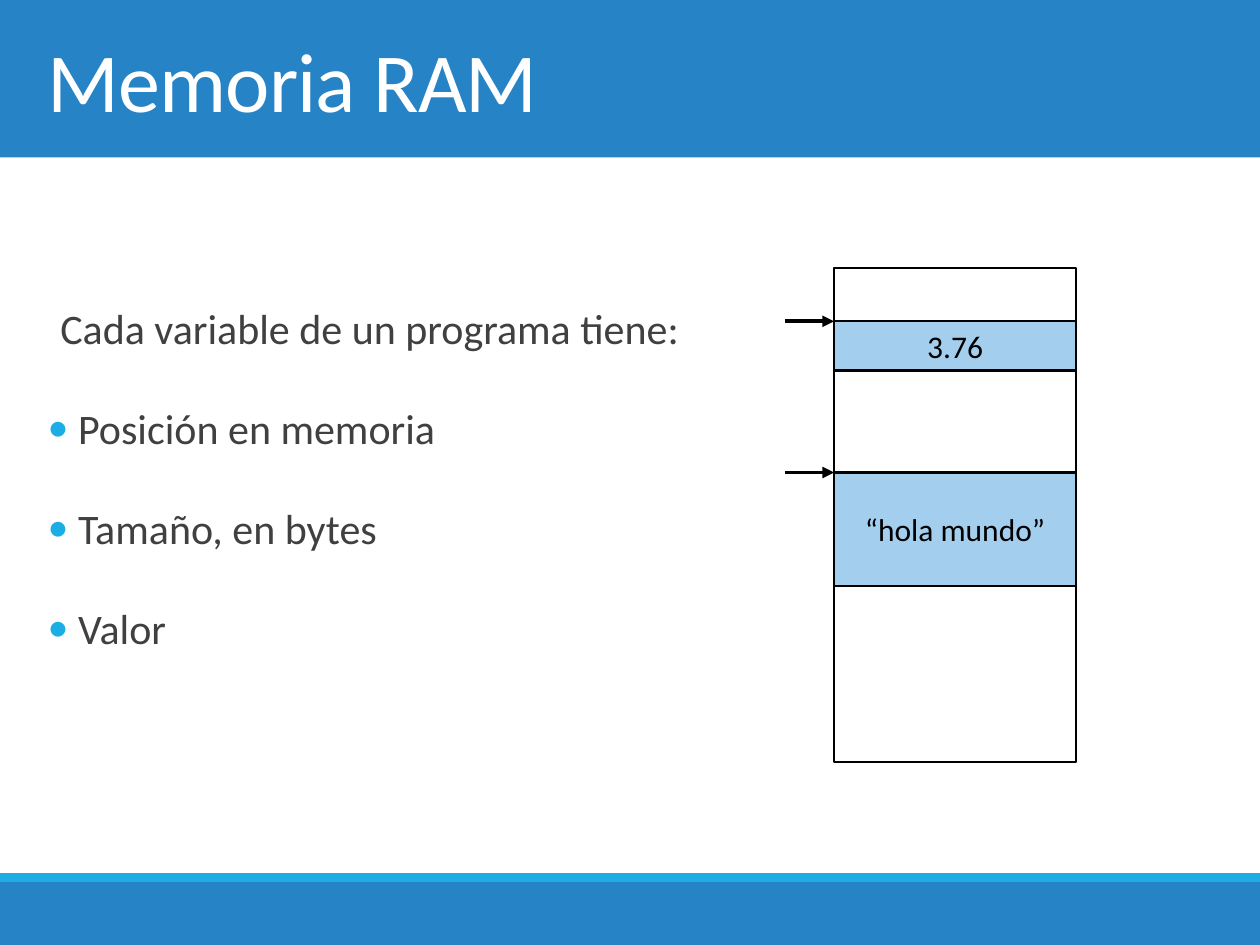
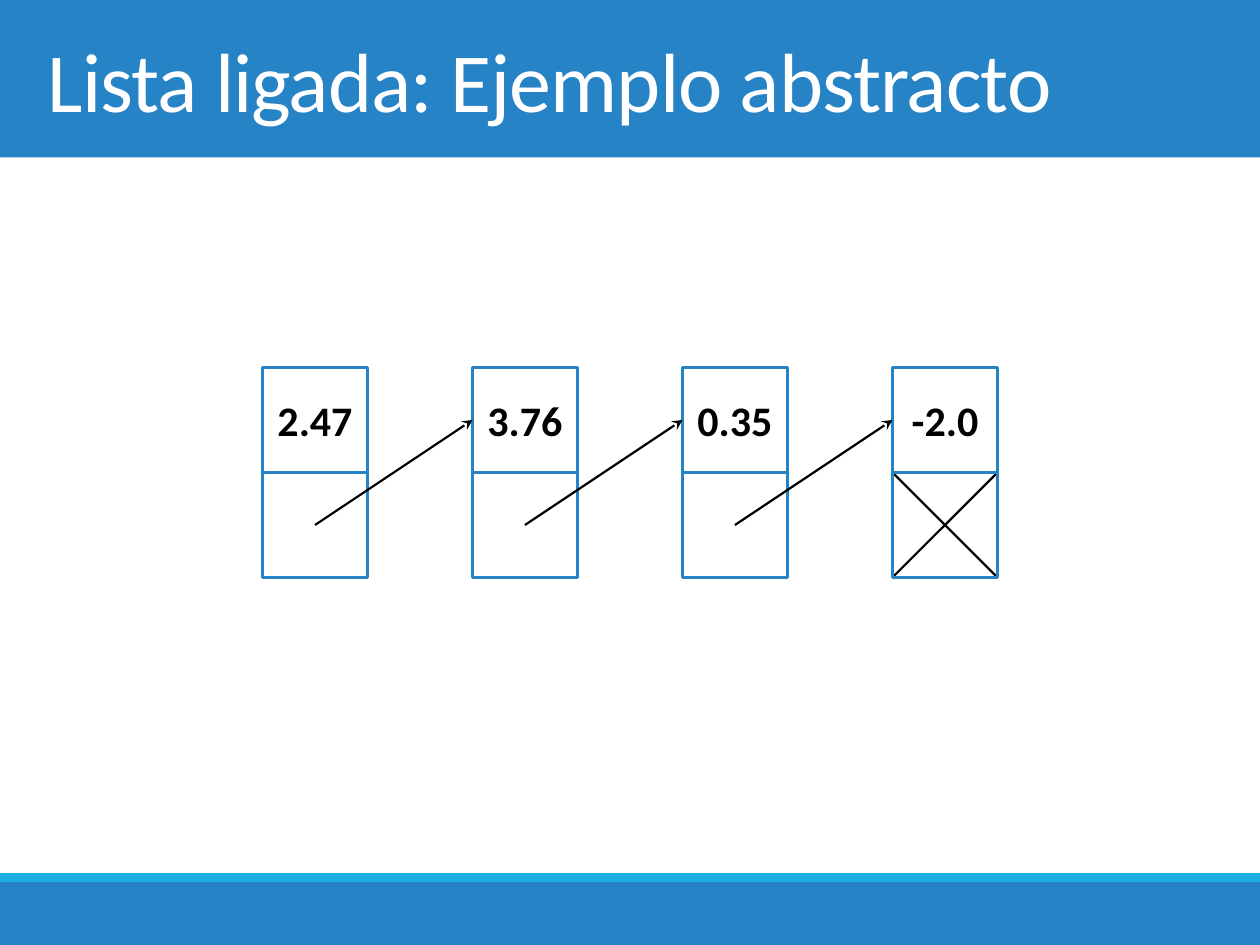
"""Build two slides: variables in RAM and an abstract linked list."""
from lxml import etree
from pptx import Presentation
from pptx import util as u
from pptx.dml.color import RGBColor
from pptx.enum import shapes, text
from pptx.oxml.ns import qn

W, H = 10, 7.5
FONT = "Calibri"
C = {"blue": "2683C6", "cyan": "1CADE4", "pale": "A3CEED",
     "white": "FFFFFF", "black": "000000", "grey": "404040"}

BANDS = [(0, 1.25, "blue"), (7, 0.5, "blue"), (6.93, 0.07, "cyan")]
MARGIN = 0.28

MEMORY = {
    "title": "Memoria RAM",
    "body": [(" ", "Cada variable de un programa tiene:"),
             ("•", " Posición en memoria"),
             ("•", " Tamaño, en bytes"),
             ("•", " Valor")],
    "column": (6.62, 2.13, 1.92, 3.92),
    "pointer": 0.39,
    "variables": [(2.55, 0.39, "3.76"), (3.75, 0.9, "“hola mundo”")],
}
LINKED = {
    "title": "Lista ligada: Ejemplo abstracto",
    "values": ["2.47", "3.76", "0.35", "-2.0"],
    "cell": W / 12, "first_col": 2.5, "first_row": 3.5, "step": 2,
}


def rgb(name):
    return RGBColor.from_string(C[name])


def add_run(p, content, size, color, bold=None):
    r = p.add_run()
    r.text = content
    f = r.font
    f.name, f.size, f.bold = FONT, u.Pt(size), bold
    f.color.rgb = rgb(color)
    return r


def box(s, x, y, w, h, fill=None, line=None, label="", size=18, bold=None):
    sp = s.shapes.add_shape(shapes.MSO_SHAPE.RECTANGLE, *map(u.Inches, (x, y, w, h)))
    sp.shadow.inherit = False
    if fill:
        sp.fill.solid()
        sp.fill.fore_color.rgb = rgb(fill)
    else:
        sp.fill.background()
    if line:
        sp.line.color.rgb = rgb(line)
        sp.line.width = u.Pt(1.25)
    else:
        sp.line.fill.background()
    if label:
        tf = sp.text_frame
        tf.vertical_anchor = text.MSO_ANCHOR.MIDDLE
        p = tf.paragraphs[0]
        p.alignment = text.PP_ALIGN.CENTER
        add_run(p, label, size, "black", bold)


def line(s, start, end, width=1.25, arrow=None):
    cn = s.shapes.add_connector(shapes.MSO_CONNECTOR.STRAIGHT,
                                *map(u.Inches, (*start, *end)))
    cn.line.color.rgb = rgb("black")
    cn.line.width = u.Pt(width)
    if arrow:
        etree.SubElement(cn.line._get_or_add_ln(), qn("a:tailEnd"), type=arrow)
    etree.SubElement(cn._element.spPr, qn("a:effectLst"))


def text_frame(s, x, y, w, h):
    tf = s.shapes.add_textbox(*map(u.Inches, (x, y, w, h))).text_frame
    tf.word_wrap = True
    tf.vertical_anchor = text.MSO_ANCHOR.MIDDLE
    return tf


def bullet(p, char):
    p.line_spacing, p.space_before, p.space_after = 1.5, u.Pt(12), u.Pt(2)
    pPr = p._p.get_or_add_pPr()
    pPr.set("marL", str(u.Inches(0.1)))
    pPr.set("indent", str(u.Inches(-0.1)))
    clr = etree.SubElement(pPr, qn("a:buClr"))
    etree.SubElement(clr, qn("a:srgbClr"), val=C["cyan"])
    etree.SubElement(pPr, qn("a:buFont"), typeface=FONT)
    etree.SubElement(pPr, qn("a:buChar"), char=char)


def new_slide(prs, title):
    s = prs.slides.add_slide(prs.slide_layouts[6])
    for top, height, color in BANDS:
        box(s, 0, top, W, height, color)
    p = text_frame(s, MARGIN, 0, 9.45, BANDS[0][1]).paragraphs[0]
    r = add_run(p, title, 48, "white")
    r.font._element.set("spc", "-50")
    return s


def memory_slide(prs):
    s = new_slide(prs, MEMORY["title"])
    tf = text_frame(s, MARGIN, 1.41, 5.38, 4.56)
    for i, (char, content) in enumerate(MEMORY["body"]):
        p = tf.add_paragraph() if i else tf.paragraphs[0]
        bullet(p, char)
        add_run(p, content, 24, "grey")
    x, y, w, h = MEMORY["column"]
    box(s, x, y, w, h, "white", "black")
    for top, height, value in MEMORY["variables"]:
        box(s, x, top, w, height, "pale", "black", value)
        line(s, (x - MEMORY["pointer"], top), (x, top), 2.25, "triangle")


def linked_slide(prs):
    s = new_slide(prs, LINKED["title"])
    c = LINKED["cell"]
    top = LINKED["first_row"] * c
    mid, bottom = top + c, top + 2 * c
    lefts = [(LINKED["first_col"] + i * LINKED["step"]) * c
             for i in range(len(LINKED["values"]))]
    last = lefts[-1]
    line(s, (last, mid), (last + c, bottom))
    line(s, (last, bottom), (last + c, mid))
    for x, value in zip(lefts, LINKED["values"]):
        box(s, x, top, c, c, "white", "blue", value, 24, True)
        box(s, x, mid, c, c, None, "blue")
    for x, following in zip(lefts, lefts[1:]):
        line(s, (x + c / 2, mid + c / 2), (following, top + c / 2), arrow="stealth")


def main():
    prs = Presentation()
    prs.slide_width, prs.slide_height = u.Inches(W), u.Inches(H)
    memory_slide(prs)
    linked_slide(prs)
    prs.save("out.pptx")


if __name__ == "__main__":
    main()
